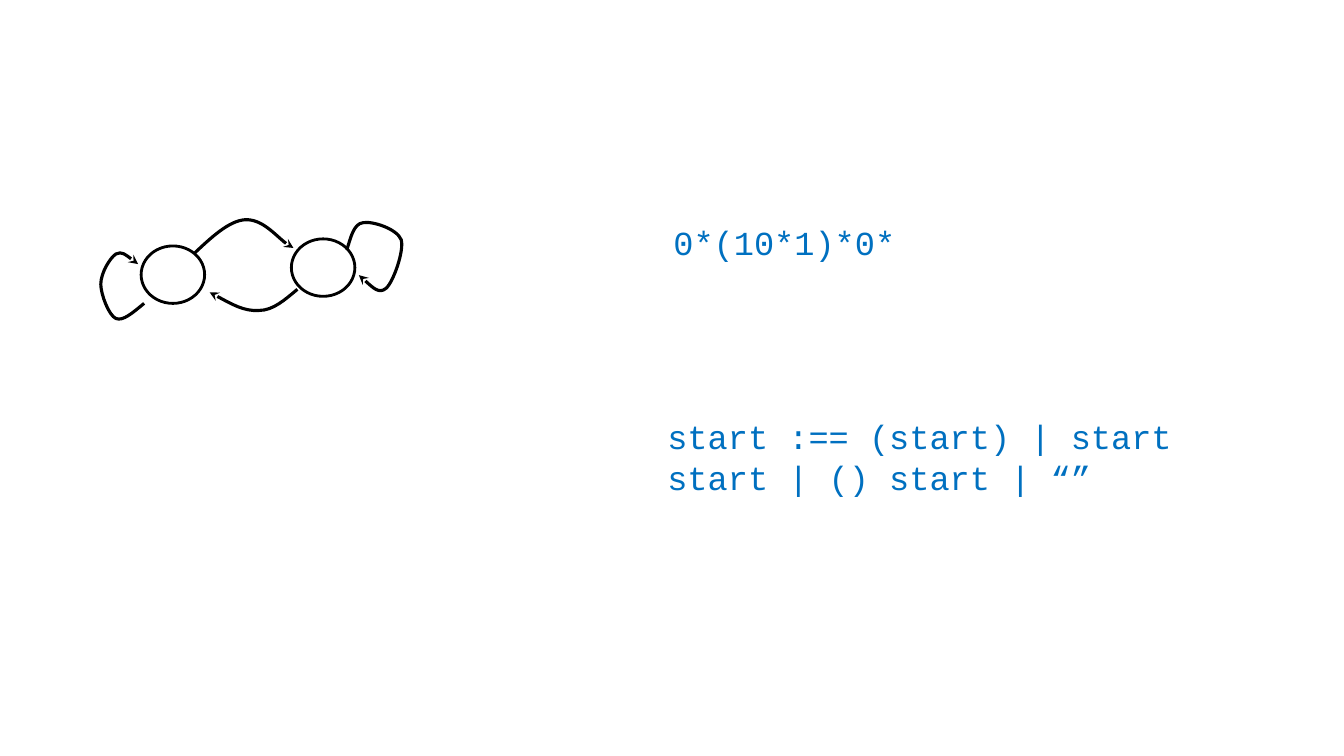
from typing import NamedTuple

from lxml import etree
from pptx import Presentation
from pptx.dml.color import RGBColor
from pptx.enum.shapes import MSO_SHAPE
from pptx.enum.text import MSO_AUTO_SIZE
from pptx.oxml.ns import qn
from pptx.util import Inches, Pt

OVAL = MSO_SHAPE.OVAL
GROW = MSO_AUTO_SIZE.SHAPE_TO_FIT_TEXT
BLACK = "000000"
BLUE = "0070C0"
CODE_FONT = "Courier New"
STATE_SIZE = (0.63, 0.57)

Point = tuple[float, float]


class State(NamedTuple):
    left: float
    top: float


class Transition(NamedTuple):
    """A start point, then three points for each Bézier segment."""
    start: Point
    controls: list[Point]


class Code(NamedTuple):
    left: float
    top: float
    width: float
    height: float
    text: str


STATES = [State(1.4, 2.44), State(2.89, 2.37)]

TRANSITIONS = [
    Transition((1.92, 2.52), [(2.09, 2.36), (2.27, 2.19), (2.43, 2.18),
                              (2.6, 2.17), (2.82, 2.43), (2.91, 2.46)]),
    Transition((2.95, 2.87), [(2.83, 2.97), (2.71, 3.08), (2.57, 3.08),
                              (2.42, 3.09), (2.25, 2.99), (2.08, 2.9)]),
    Transition((3.44, 2.48), [(3.48, 2.35), (3.51, 2.22), (3.6, 2.21),
                              (3.69, 2.19), (3.94, 2.27), (3.98, 2.38),
                              (4.01, 2.49), (3.9, 2.8), (3.83, 2.86),
                              (3.76, 2.92), (3.66, 2.82), (3.56, 2.73)]),
    Transition((1.43, 3.01), [(1.32, 3.1), (1.22, 3.19), (1.15, 3.16),
                              (1.08, 3.13), (1, 2.92), (1, 2.82),
                              (1, 2.71), (1.09, 2.56), (1.15, 2.52),
                              (1.21, 2.49), (1.29, 2.56), (1.37, 2.62)]),
]

CODES = [
    Code(6.58, 2.15, 3.08, 0.5, "0*(10*1)*0*"),
    Code(6.52, 4.08, 5.45, 0.91, "start :== (start) | start start | () start | “”"),
]


def color(value: str) -> RGBColor:
    return RGBColor.from_string(value)


def outline(shape, width: float) -> None:
    shape.shadow.inherit = False
    shape.fill.background()
    shape.line.color.rgb = color(BLACK)
    shape.line.width = Pt(width)


def draw_state(slide, state: State) -> None:
    circle = slide.shapes.add_shape(
        OVAL, *(Inches(length) for length in (*state, *STATE_SIZE)))
    outline(circle, 2)


def bend(shape) -> None:
    """Turn every three straight segments into one cubic Bézier segment."""
    lines = list(shape._element.iter(qn("a:lnTo")))
    for first in range(0, len(lines), 3):
        curve = etree.Element(qn("a:cubicBezTo"))
        lines[first].addprevious(curve)
        for line in lines[first:first + 3]:
            curve.append(line[0])
            line.getparent().remove(line)


def draw_transition(slide, transition: Transition) -> None:
    start_x, start_y = transition.start
    builder = slide.shapes.build_freeform(Inches(start_x), Inches(start_y))
    builder.add_line_segments(
        [(Inches(x), Inches(y)) for x, y in transition.controls], close=False)
    arrow = builder.convert_to_shape()
    bend(arrow)
    outline(arrow, 2.25)
    line = arrow._element.spPr.find(qn("a:ln"))
    etree.SubElement(line, qn("a:tailEnd"), type="stealth")


def draw_code(slide, code: Code) -> None:
    bounds = (code.left, code.top, code.width, code.height)
    box = slide.shapes.add_textbox(*(Inches(length) for length in bounds))
    box.text_frame.word_wrap = True
    box.text_frame.auto_size = GROW
    span = box.text_frame.paragraphs[0].add_run()
    span.text = code.text
    span.font.name = CODE_FONT
    span.font.size = Pt(24)
    span.font.color.rgb = color(BLUE)


def main() -> None:
    deck = Presentation()
    deck.slide_width = Inches(13.33)
    deck.slide_height = Inches(7.5)
    slide = deck.slides.add_slide(deck.slide_layouts[6])
    for state in STATES:
        draw_state(slide, state)
    for transition in TRANSITIONS:
        draw_transition(slide, transition)
    for code in CODES:
        draw_code(slide, code)
    deck.save("out.pptx")


if __name__ == "__main__":
    main()
